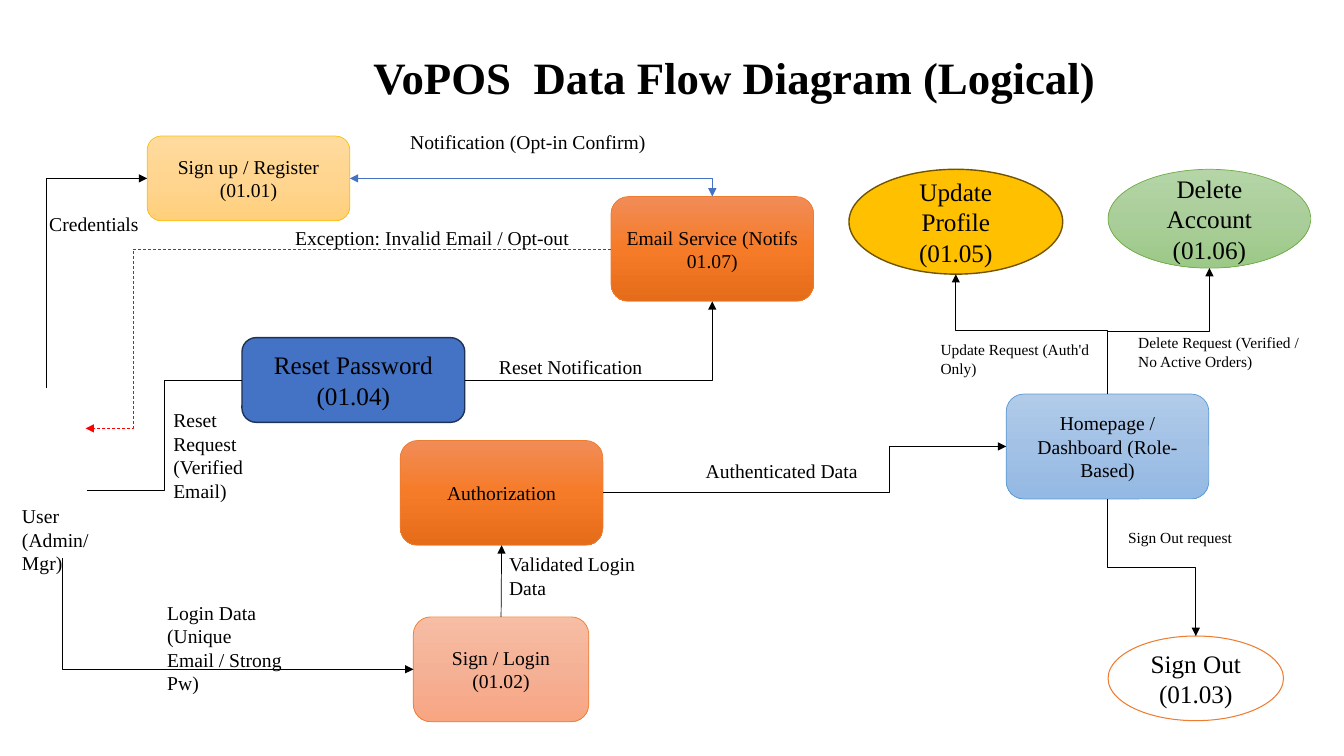
from copy import deepcopy

from lxml.etree import SubElement
from pptx import Presentation
from pptx.dml.color import RGBColor
from pptx.enum.dml import MSO_LINE
from pptx.enum.shapes import MSO_CONNECTOR as LINK, MSO_SHAPE as SHAPE
from pptx.enum.text import MSO_ANCHOR as ANCHOR, MSO_AUTO_SIZE as AUTO, PP_ALIGN as ALIGN
from pptx.oxml.ns import qn
from pptx.util import Inches, Pt

FONT = "Times New Roman"
COLORS = {
    "black": "000000", "red": "FF0000", "blue": "4472C4", "navy": "1E3256",
    "gold": "FFC000", "brown": "705400", "orange": "ED7D31",
    "sky": "5B9BD5", "green": "70AD47",
}
GRADIENTS = {
    "gold": ("FFDB9E", "FFD590", "FFD07C"),
    "sky": ("B1CBE9", "A3C1E5", "93B9E4"),
    "orange": ("F18C57", "F67B28", "E56C19"),
    "peach": ("F7BDA5", "F5B196", "F8A582"),
    "green": ("B5D5A7", "AACE9A", "9CC987"),
}
TITLE = ("VoPOS  Data Flow Diagram (Logical)", (2.58, 0.44, 9.41, 0.64))

ROUND, OVAL = SHAPE.ROUNDED_RECTANGLE, SHAPE.OVAL
# name: text, shape, place, fill, line colour, line width, text size
NODES = {
    "register": ("Sign up / Register (01.01)", ROUND, (1.46, 1.35, 2.01, 0.84),
                 GRADIENTS["gold"], "gold", 0.5, 14),
    "home": ("Homepage / Dashboard (Role-Based)", ROUND, (9.98, 3.91, 2.01, 1.04),
             GRADIENTS["sky"], "sky", 0.5, 14),
    "authorization": ("Authorization", ROUND, (3.97, 4.37, 2.01, 1.04),
                      GRADIENTS["orange"], "orange", 0.5, 14),
    "login": ("Sign / Login (01.02)", ROUND, (4.1, 6.12, 1.74, 1.04),
              GRADIENTS["peach"], "orange", 0.5, 14),
    "email": ("Email Service (Notifs 01.07)", ROUND, (6.06, 1.95, 2.01, 1.04),
              GRADIENTS["orange"], "orange", 0.5, 14),
    "update": ("Update Profile (01.05)", OVAL, (8.42, 1.68, 2.12, 1.04),
               "gold", "brown", 1, 18),
    "sign out": ("Sign Out (01.03)", OVAL, (10.99, 6.31, 1.74, 0.84),
                 None, "orange", 0.75, 18),
    "delete": ("Delete Account (01.06)", OVAL, (10.99, 1.68, 2.01, 0.98),
               GRADIENTS["green"], "green", 0.5, 18),
    "reset": ("Reset Password (01.04)", ROUND, (2.4, 3.35, 2.21, 0.84),
              "blue", "navy", 1, 18),
}
LABELS = [
    ("User\n(Admin/Mgr)", (0.12, 4.95, 1, 0.59), 14),
    ("Validated Login Data", (4.95, 5.43, 1.65, 0.57), 14),
    ("Credentials", (0.39, 2.05, 1.2, 0.34), 14),
    ("Authenticated Data", (6.9, 4.5, 1.81, 0.57), 14),
    ("Login Data (Unique Email / Strong Pw)", (1.56, 5.91, 1.4, 0.81), 14),
    ("Reset Request (Verified Email)", (1.62, 4, 1.08, 1.04), 14),
    ("Update Request (Auth'd Only)", (9.23, 3.33, 1.81, 0.47), 11),
    ("Delete Request (Verified / No Active Orders)", (11.19, 3.26, 1.81, 0.47), 11),
    ("Sign Out request", (11.09, 5.19, 1.81, 0.29), 11),
    ("Notification (Opt-in Confirm)", (3.97, 1.24, 2.7, 0.34), 14),
    ("Reset Notification", (4.85, 3.47, 2.01, 0.34), 14),
    ("Exception: Invalid Email / Opt-out", (2.83, 2.19, 3.07, 0.34), 14),
]
SIDES = {"left": (0, 0.5), "right": (1, 0.5), "top": (0.5, 0), "bottom": (0.5, 1)}
# start, end, corners, first direction, bend position, colour, arrowheads
FLOWS = [
    ((0.46, 3.85), ("register", "left"), 1, "vertical", None, "black", ["tail"]),
    ((0.62, 5.54), ("login", "left"), 1, "vertical", None, "black", ["tail"]),
    (("login", "top"), ("authorization", "bottom"), 0, "", None, "black", ["tail"]),
    (("home", "top"), ("update", "bottom"), 2, "vertical", 0.53, "black", ["tail"]),
    (("home", "top"), ("delete", "bottom"), 2, "vertical", 0.5, "black", ["tail"]),
    (("home", "bottom"), ("sign out", "top"), 2, "vertical", 0.5, "black", ["tail"]),
    (("reset", "right"), ("email", "bottom"), 1, "horizontal", None, "black", ["tail"]),
    ((0.86, 4.86), ("reset", "left"), 2, "horizontal", 0.5, "black", []),
    (("register", "right"), ("email", "top"), 1, "horizontal", None, "blue", ["head", "tail"]),
    (("email", "left"), (0.85, 4.25), 2, "horizontal", 0.91, "red", ["tail"]),
    (("authorization", "right"), ("home", "left"), 2, "horizontal", 0.71, "black", ["tail"]),
]


def rgb(name):
    return RGBColor.from_string(COLORS.get(name, name))


def write(shape, text, size, align, anchor, bold=False):
    frame = shape.text_frame
    frame.text = text
    frame.word_wrap = True
    frame.auto_size = AUTO.NONE
    frame.vertical_anchor = anchor
    for para in frame.paragraphs:
        para.alignment = align
        for span in para.runs:
            span.font.name, span.font.size, span.font.bold = FONT, Pt(size), bold
            span.font.color.rgb = rgb("black")


def paint(shape, fill):
    if fill is None:
        shape.fill.background()
    elif isinstance(fill, str):
        shape.fill.solid()
        shape.fill.fore_color.rgb = rgb(fill)
    else:
        shape.fill.gradient()
        shape.fill.gradient_angle = 270
        stop_list = shape._element.spPr.find(".//" + qn("a:gsLst"))
        stop_list.insert(1, deepcopy(stop_list[0]))
        for index, (stop, color) in enumerate(zip(shape.fill.gradient_stops, fill)):
            stop.position = index / 2
            stop.color.rgb = rgb(color)


def add_node(page, text, kind, place, fill, line, width, size):
    node = page.shapes.add_shape(kind, *map(Inches, place))
    node.shadow.inherit = False
    paint(node, fill)
    node.line.color.rgb = rgb(line)
    node.line.width = Pt(width)
    write(node, text, size, ALIGN.CENTER, ANCHOR.MIDDLE)


def locate(end):
    if end[0] not in NODES:
        return end
    left, top, width, height = NODES[end[0]][2]
    across, down = SIDES[end[1]]
    return left + across * width, top + down * height


def add_flow(page, start, end, corners, direction, bend, color, heads):
    (x1, y1), (x2, y2) = locate(start), locate(end)
    turn = 0
    if direction == "vertical":
        dx, dy = x2 - x1, y2 - y1
        turn = 90 if dx * dy < 0 else 270
        sign = 1 if turn == 90 else -1
        mid_x, mid_y = (x1 + x2) / 2, (y1 + y2) / 2
        x1, x2 = mid_x - sign * dy / 2, mid_x + sign * dy / 2
        y1, y2 = mid_y + sign * dx / 2, mid_y - sign * dx / 2
    kind = LINK.ELBOW if corners else LINK.STRAIGHT
    flow = page.shapes.add_connector(kind, *map(Inches, (x1, y1, x2, y2)))
    flow.line.color.rgb = rgb(color)
    flow.line.width = Pt(0.5)
    if color == "red":
        flow.line.dash_style = MSO_LINE.DASH
    properties = flow._element.spPr
    if turn:
        properties.find(qn("a:xfrm")).set("rot", str(turn * 60000))
    geometry = properties.find(qn("a:prstGeom"))
    if corners == 1:
        geometry.set("prst", "bentConnector2")
    if bend:
        guides = geometry.find(qn("a:avLst"))
        SubElement(guides, qn("a:gd"), name="adj1", fmla=f"val {round(bend * 100000)}")
    for head in heads:
        SubElement(properties.find(qn("a:ln")), qn(f"a:{head}End"), type="triangle")
    SubElement(properties, qn("a:effectLst"))


def main():
    deck = Presentation()
    deck.slide_width, deck.slide_height = Inches(13.33), Inches(7.5)
    page = deck.slides.add_slide(deck.slide_layouts[5])
    title = page.shapes.title
    text, place = TITLE
    title.left, title.top, title.width, title.height = map(Inches, place)
    write(title, text, 32, ALIGN.CENTER, ANCHOR.TOP, True)
    for node in NODES.values():
        add_node(page, *node)
    for flow in FLOWS:
        add_flow(page, *flow)
    for text, place, size in LABELS:
        box = page.shapes.add_textbox(*map(Inches, place))
        write(box, text, size, ALIGN.LEFT, ANCHOR.TOP)
    deck.save("out.pptx")


if __name__ == "__main__":
    main()
